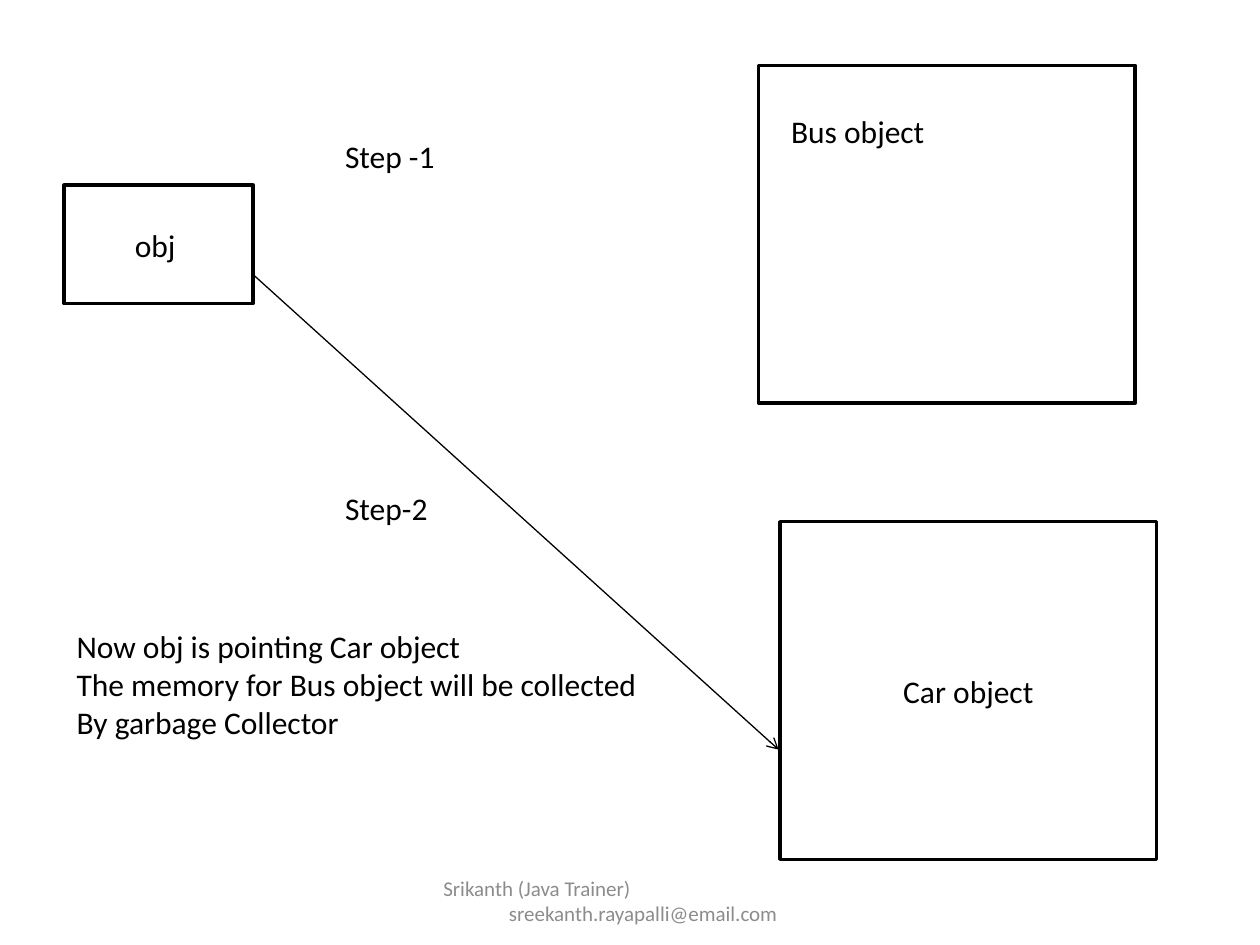
from lxml import etree
from pptx import Presentation
from pptx import util as u
from pptx.dml.color import RGBColor
from pptx.enum import shapes, text
from pptx.oxml.ns import qn

BLACK = RGBColor(0x00, 0x00, 0x00)
WHITE = RGBColor(0xFF, 0xFF, 0xFF)
GRAY = RGBColor(0x8C, 0x8C, 0x8C)
FONT = "Calibri"


def place(box):
    """Turn a (left, top, width, height) box in inches into lengths."""
    return [u.Inches(value) for value in box]


def write(frame, words, size=18, color=BLACK, align=text.PP_ALIGN.LEFT):
    """Fill a text frame and format all its runs alike."""
    frame.word_wrap = True
    frame.text = words
    for para in frame.paragraphs:
        para.alignment = align
        for span in para.runs:
            span.font.name = FONT
            span.font.size = u.Pt(size)
            span.font.color.rgb = color


def add_box(page, box, words=""):
    """Draw an outlined rectangle with an optional centred name."""
    shape = page.shapes.add_shape(shapes.MSO_SHAPE.RECTANGLE, *place(box))
    shape.shadow.inherit = False
    shape.fill.solid()
    shape.fill.fore_color.rgb = WHITE
    shape.line.color.rgb = BLACK
    shape.line.width = u.Pt(2)
    if words:
        shape.text_frame.vertical_anchor = text.MSO_ANCHOR.MIDDLE
        write(shape.text_frame, words, align=text.PP_ALIGN.CENTER)
    return shape


def add_label(page, box, words):
    """Place plain left-aligned text."""
    label = page.shapes.add_textbox(*place(box))
    write(label.text_frame, words)


def add_arrow(page, start, end):
    """Draw a thin line with an open arrowhead at its end."""
    arrow = page.shapes.add_connector(
        shapes.MSO_CONNECTOR.STRAIGHT, *place(start + end))
    arrow.line.color.rgb = BLACK
    arrow.line.width = u.Pt(0.75)
    etree.SubElement(arrow.line._get_or_add_ln(), qn("a:tailEnd"), type="arrow")
    etree.SubElement(arrow._element.spPr, qn("a:effectLst"))


def add_footer(page, box, name, address):
    """Place the author's name at the left and the address below it."""
    footer = page.shapes.add_textbox(*place(box))
    frame = footer.text_frame
    frame.vertical_anchor = text.MSO_ANCHOR.MIDDLE
    write(frame, f"{name}\n{address}", size=12, color=GRAY)
    address_para = frame.paragraphs[1]
    address_para.alignment = text.PP_ALIGN.CENTER
    address_para._p.get_or_add_pPr().set("marL", str(u.Inches(0.2)))


def add_diagram(page, left, top):
    """Show a reference that moves from the bus to the car object."""
    object_size = (2.99, 2.68)
    step_size = (1.65, 0.4)
    add_box(page, (left, top + 0.95, 1.5, 0.94), "obj ")
    add_box(page, (left + 5.51, top, *object_size))
    add_label(page, (left + 5.67, top + 0.32, 2.05, 0.4), "Bus object")
    add_box(page, (left + 5.68, top + 3.62, *object_size), "Car object")
    add_arrow(page, (left + 1.5, top + 1.66), (left + 5.67, top + 5.43))
    for words, offset in (("Step -1", 0.52), ("Step-2", 3.31)):
        add_label(page, (left + 2.13, top + offset, *step_size), words)
    add_label(page, (left, top + 4.41, 5.2, 1.31),
              "Now obj is pointing Car object\n"
              "The memory for Bus object will be collected \n"
              "By garbage Collector")


deck = Presentation()
deck.slide_width, deck.slide_height = u.Inches(10), u.Inches(7.5)
page = deck.slides.add_slide(deck.slide_layouts[6])
add_diagram(page, 0.51, 0.52)
add_footer(page, (3.42, 6.95, 3.17, 0.4),
           "Srikanth (Java Trainer)", "sreekanth.rayapalli@email.com")
deck.save("out.pptx")
